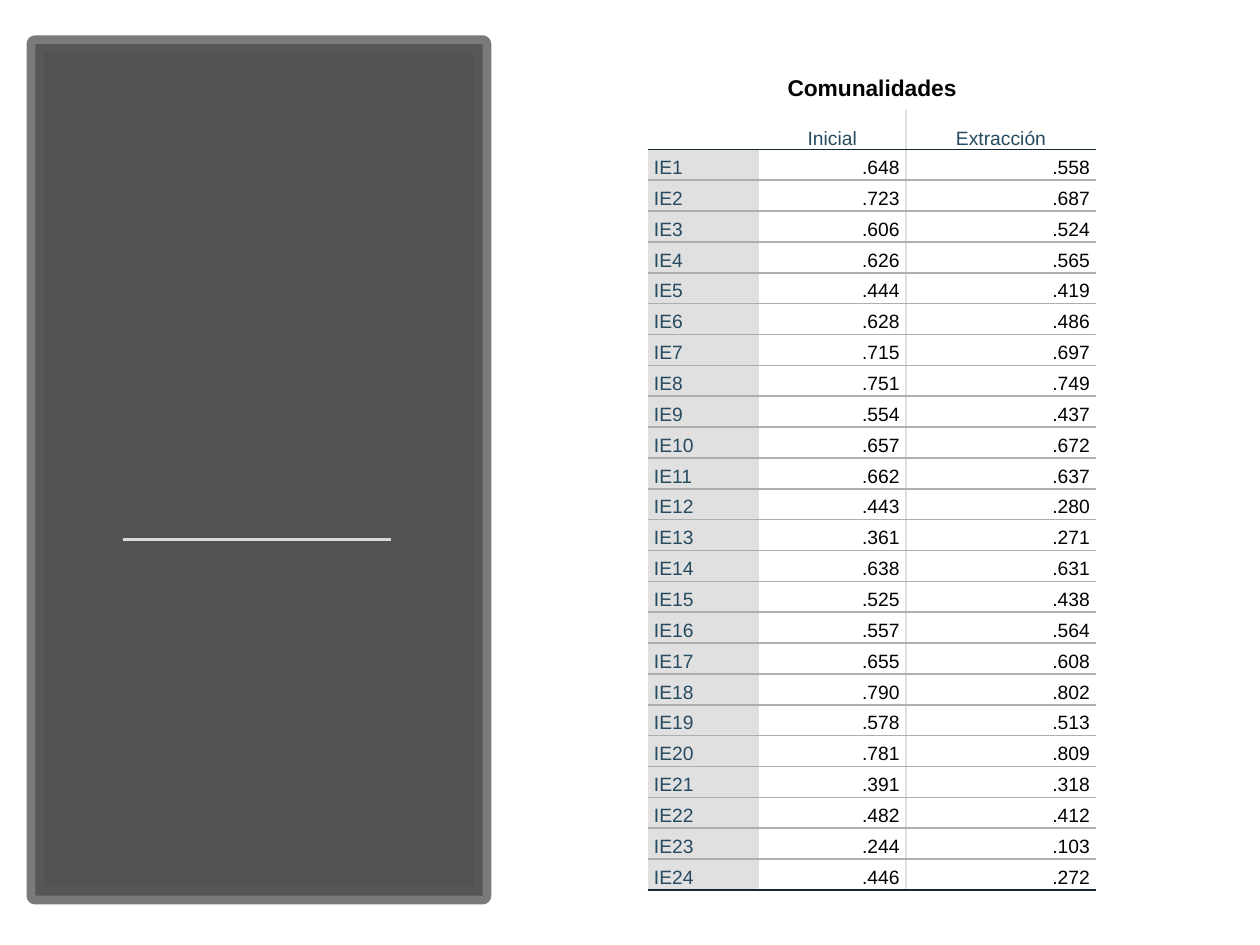
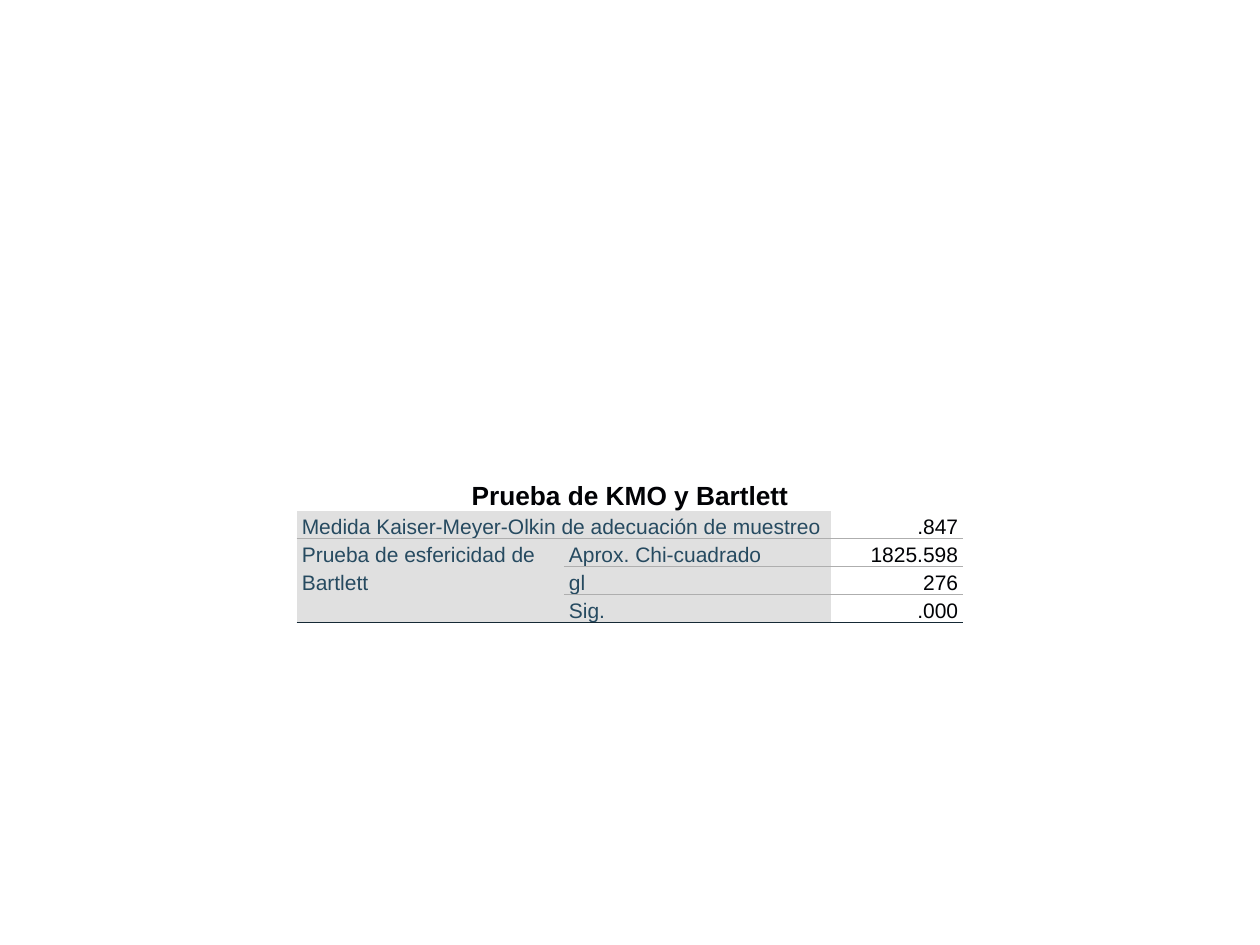
import pptx
import pptx.dml.color
import pptx.enum.shapes
import pptx.enum.text
import pptx.oxml
import pptx.oxml.ns
import pptx.util
import lxml.etree

COLORS = {
    "panel": "404040", "panel_edge": "595959", "rule": "D9D9D9",
    "label": "264A60", "value": "010205", "shade": "E0E0E0",
    "row_line": "AEAEAE", "frame_line": "152935", "paper": "FFFFFF",
}
FONT = "Arial"
LINE_HEIGHT = pptx.util.Pt(16)
SIDE_INDENT = pptx.util.Inches(0.04)
WIDTH, HEIGHT = pptx.util.Inches(10), pptx.util.Inches(7.5)
GRID_COLUMNS, GRID_ROWS = 100, 75
PLAIN_TABLE_STYLE = "{2D5ABB26-0587-4C30-8999-92F81FD0307C}"
ALIGN = pptx.enum.text.PP_ALIGN
ANCHOR = pptx.enum.text.MSO_ANCHOR

INITIAL = """.648 .723 .606 .626 .444 .628 .715 .751 .554 .657 .662 .443
.361 .638 .525 .557 .655 .790 .578 .781 .391 .482 .244 .446""".split()
EXTRACTION = """.558 .687 .524 .565 .419 .486 .697 .749 .437 .672 .637 .280
.271 .631 .438 .564 .608 .802 .513 .809 .318 .412 .103 .272""".split()


def across(columns):
    return round(WIDTH * columns / GRID_COLUMNS)


def down(rows):
    return round(HEIGHT * rows / GRID_ROWS)


def color(name):
    return pptx.dml.color.RGBColor.from_string(COLORS[name])


def set_alpha(fill_element, percent):
    color_element = fill_element.find(".//" + pptx.oxml.ns.qn("a:srgbClr"))
    alpha = lxml.etree.SubElement(color_element, pptx.oxml.ns.qn("a:alpha"))
    alpha.set("val", str(percent * 1000))


def add_panel(slide, left, top, width, height):
    panel = slide.shapes.add_shape(
        pptx.enum.shapes.MSO_SHAPE.RECTANGLE,
        across(left), down(top), across(width), down(height))
    panel.shadow.inherit = False
    panel.fill.solid()
    panel.fill.fore_color.rgb = color("panel")
    panel.line.color.rgb = color("panel_edge")
    panel.line.width = pptx.util.Pt(10)
    properties = panel.fill._xPr
    set_alpha(properties.find(pptx.oxml.ns.qn("a:solidFill")), 90)
    set_alpha(properties.find(pptx.oxml.ns.qn("a:ln")), 80)


def add_rule(slide, left, right, row):
    rule = slide.shapes.add_connector(
        pptx.enum.shapes.MSO_CONNECTOR.STRAIGHT,
        across(left), down(row), across(right), down(row))
    rule.line.color.rgb = color("rule")
    rule.line.width = pptx.util.Pt(1.75)
    lxml.etree.SubElement(
        rule._element.spPr, pptx.oxml.ns.qn("a:effectLst"))


def add_table(slide, left, top, column_widths, row_heights):
    frame = slide.shapes.add_table(
        len(row_heights), len(column_widths), across(left), down(top),
        across(sum(column_widths)), down(sum(row_heights)))
    table = frame.table
    table.first_row = table.horz_banding = False
    style = table._tbl.tblPr.find(pptx.oxml.ns.qn("a:tableStyleId"))
    style.text = PLAIN_TABLE_STYLE
    for column, width in zip(table.columns, column_widths):
        column.width = across(width)
    for row, height in zip(table.rows, row_heights):
        row.height = down(height)
    return table


def write_cell(cell, text, ink, size, align, bold=False):
    paragraph = cell.text_frame.paragraphs[0]
    paragraph.alignment = align
    paragraph.line_spacing = LINE_HEIGHT
    properties = paragraph._p.get_or_add_pPr()
    for side in ("marL", "marR"):
        properties.set(side, str(SIDE_INDENT))
    if text:
        run = paragraph.add_run()
        run.text = text
        run.font.name = FONT
        run.font.size = pptx.util.Pt(size)
        run.font.bold = bold
        run.font.color.rgb = color(ink)


def set_cell_box(cell, inset, fill, anchor=ANCHOR.TOP):
    sides = [pptx.util.Inches(length) for length in inset]
    (cell.margin_left, cell.margin_top,
     cell.margin_right, cell.margin_bottom) = sides
    cell.vertical_anchor = anchor
    if fill:
        cell.fill.solid()
        cell.fill.fore_color.rgb = color(fill)
    else:
        cell.fill.background()


def set_borders(cell, **borders):
    properties = cell._tc.get_or_add_tcPr()
    for position, side in enumerate("LRTB"):
        name = borders.get(side)
        paint = (f'<a:solidFill><a:srgbClr val="{COLORS[name]}"/></a:solidFill>'
                 if name else "<a:noFill/>")
        line = pptx.oxml.parse_xml(
            f'<a:ln{side} {pptx.oxml.ns.nsdecls("a")} '
            f'w="{pptx.util.Pt(1)}">{paint}</a:ln{side}>')
        properties.insert(position, line)


def rule_table(table, horizontal, divider=None, open_edges=()):
    def edge(row, column):
        return None if (row, column) in open_edges else horizontal[row]

    def upright(row, column):
        return "shade" if row and column == divider else None

    for row in range(len(table.rows)):
        for column in range(len(table.columns)):
            cell = table.cell(row, column)
            height = cell.span_height if cell.is_merge_origin else 1
            set_borders(cell, L=upright(row, column),
                        R=upright(row, column + 1), T=edge(row, column),
                        B=edge(row + height, column))


def add_title_row(table, text, size, inset, fill, anchor):
    table.cell(0, 0).merge(table.cell(0, len(table.columns) - 1))
    for column in range(len(table.columns)):
        cell = table.cell(0, column)
        set_cell_box(cell, inset, fill, anchor)
        write_cell(cell, "" if column else text, "value", size,
                   ALIGN.CENTER, True)


def fill_row(table, row, texts, label_count, size, inset, value_fill):
    for column, text in enumerate(texts):
        is_label = column < label_count
        cell = table.cell(row, column)
        set_cell_box(cell, inset, "shade" if is_label else value_fill)
        write_cell(cell, text, "label" if is_label else "value", size,
                   ALIGN.LEFT if is_label else ALIGN.RIGHT)


def build_communalities(slide):
    inset = (0.01, 0.01, 0.01, 0)
    items = len(INITIAL)
    table = add_table(slide, 51.4, 5.4, [8.8, 11.7, 15.1],
                      [3.3, 2.2] + [2.45] * items)
    add_title_row(table, "Comunalidades", 13, (0.09, 0.04, 0.09, 0.04),
                  None, ANCHOR.TOP)
    for column, heading in enumerate(["", "Inicial", "Extracción"]):
        cell = table.cell(1, column)
        set_cell_box(cell, inset, None, ANCHOR.BOTTOM)
        write_cell(cell, heading, "label", 11, ALIGN.CENTER)
    for number, values in enumerate(zip(INITIAL, EXTRACTION), 1):
        fill_row(table, number + 1, [f"IE{number}", *values], 1, 11, inset, None)
    rule_table(table, [None, None, "frame_line"]
               + ["row_line"] * (items - 1) + ["frame_line"], divider=2)


def build_kmo(slide):
    rows = [
        ["Medida Kaiser-Meyer-Olkin de adecuación de muestreo", "", ".847"],
        ["Prueba de esfericidad de Bartlett", "Aprox. Chi-cuadrado", "1825.598"],
        ["", "gl", "276"],
        ["", "Sig.", ".000"],
    ]
    inset = (0, 0, 0, 0)
    table = add_table(slide, 23.55, 38.3, [21.2, 21.2, 10.5],
                      [2.22] * (len(rows) + 1))
    add_title_row(table, "Prueba de KMO y Bartlett", 15, inset, "paper",
                  ANCHOR.MIDDLE)
    table.cell(1, 0).merge(table.cell(1, 1))
    table.cell(2, 0).merge(table.cell(4, 0))
    for row, texts in enumerate(rows, 1):
        fill_row(table, row, texts, 2, 12, inset, "paper")
    rule_table(table, [None, None] + ["row_line"] * 3 + ["frame_line"],
               open_edges={(3, 0), (4, 0)})


def main():
    presentation = pptx.Presentation()
    presentation.slide_width, presentation.slide_height = WIDTH, HEIGHT
    blank = presentation.slide_layouts[6]
    communalities = presentation.slides.add_slide(blank)
    add_panel(communalities, 2.8, 3.5, 35.5, 67.6)
    add_rule(communalities, 9.8, 31, 42.8)
    build_communalities(communalities)
    build_kmo(presentation.slides.add_slide(blank))
    presentation.save("out.pptx")


if __name__ == "__main__":
    main()
